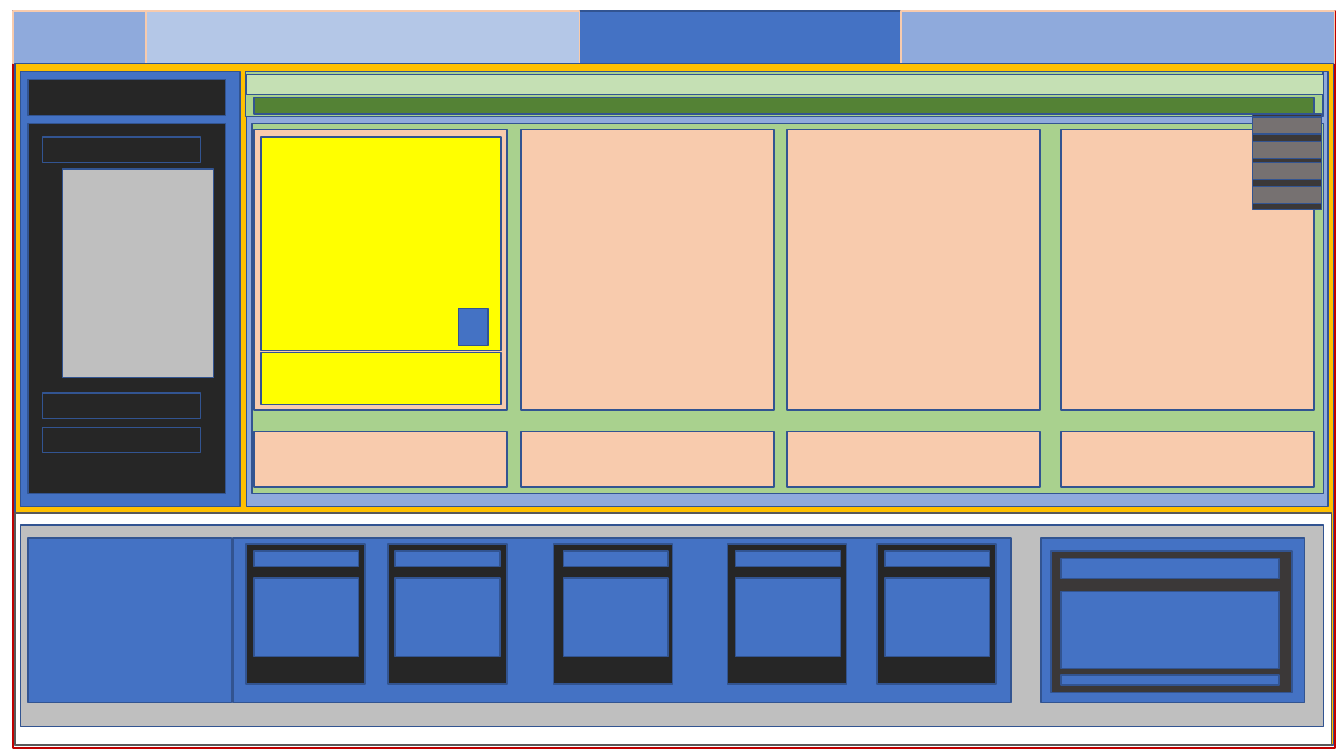
from dataclasses import dataclass

from pptx import Presentation
from pptx.dml.color import RGBColor
from pptx.enum.shapes import MSO_SHAPE
from pptx.util import Cm, Pt


@dataclass(frozen=True)
class Theme:
    blue: str = "4472C4"
    sky: str = "8FAADC"
    pale: str = "B4C7E7"
    peach: str = "F8CBAD"
    gold: str = "FFC000"
    green: str = "A9D18E"
    mint: str = "C5E0B4"
    moss: str = "548235"
    yellow: str = "FFFF00"
    white: str = "FFFFFF"
    silver: str = "BFBFBF"
    grey: str = "767171"
    slate: str = "3B3838"
    black: str = "262626"
    edge: str = "325491"
    red: str = "C00000"
    ash: str = "595959"
    line: float = 1


@dataclass(frozen=True)
class Box:
    x: float
    y: float
    w: float
    h: float

    def sub(self, x, y, w, h):
        return Box(self.x + x, self.y + y, w, h)


theme = Theme()


def draw(slide, box, fill=None, edge=theme.edge):
    rect = slide.shapes.add_shape(
        MSO_SHAPE.RECTANGLE, Cm(box.x), Cm(box.y), Cm(box.w), Cm(box.h))
    rect.shadow.inherit = False
    if fill:
        rect.fill.solid()
        rect.fill.fore_color.rgb = RGBColor.from_string(fill)
    else:
        rect.fill.background()
    rect.line.color.rgb = RGBColor.from_string(edge)
    rect.line.width = Pt(theme.line)
    return box


def navbar(slide, box):
    draw(slide, box, theme.blue)
    for x, w, fill in ((0, 3.35, theme.sky), (3.35, 10.92, theme.pale),
                       (22.38, 10.92, theme.sky)):
        draw(slide, box.sub(x, 0, w, box.h), fill, theme.peach)


def sidebar(slide, box):
    draw(slide, box, theme.blue)
    draw(slide, box.sub(0.2, 0.2, 4.98, 0.91), theme.black)
    panel = draw(slide, box.sub(0.2, 1.32, 4.98, 9.32), theme.black)
    draw(slide, panel.sub(0.87, 1.14, 3.81, 5.26), theme.silver)
    for y in (0.33, 6.78, 7.65):
        draw(slide, panel.sub(0.36, y, 3.99, 0.64), theme.black)


def feature(slide, card):
    draw(slide, card.sub(0.18, 0.18, 6.05, 5.38), theme.yellow)
    draw(slide, card.sub(0.18, 5.61, 6.05, 1.32), theme.yellow)
    draw(slide, card.sub(5.16, 4.5, 0.74, 0.94), theme.blue)


def menu(slide, box):
    draw(slide, box, theme.slate)
    for y in (0.08, 0.69, 1.22, 1.83):
        draw(slide, box.sub(0, y, box.w, 0.43), theme.grey)


def board(slide, box):
    draw(slide, box, theme.sky)
    draw(slide, box.sub(-0.03, 0, 27.15, 1.14), theme.green)
    draw(slide, box.sub(0, 0.08, 27.13, 0.51), theme.mint)
    draw(slide, box.sub(0.18, 0.66, 26.72, 0.41), theme.moss)
    draw(slide, box.sub(0.13, 1.32, 27, 9.32), theme.green)
    cards = [box.sub(x, 1.47, 6.38, 7.06) for x in (0.18, 6.91, 13.61, 20.52)]
    for card in cards:
        draw(slide, card, theme.peach)
        draw(slide, card.sub(0, 7.6, card.w, 1.4), theme.peach)
    feature(slide, cards[0])
    menu(slide, box.sub(25.35, 1.07, 1.73, 2.41))


def strip(slide, box):
    draw(slide, box, theme.blue)
    for x, inset in ((0.33, 0.2), (3.91, 0.18), (8.08, 0.25),
                     (12.47, 0.2), (16.23, 0.2)):
        tile = draw(slide, box.sub(x, 0.15, 3, 3.53), theme.black)
        for y, h in ((0.18, 0.38), (0.86, 1.98)):
            draw(slide, tile.sub(inset, y, 2.64, h), theme.blue)


def detail(slide, box):
    draw(slide, box, theme.blue)
    panel = draw(slide, box.sub(0.25, 0.33, 6.07, 3.56), theme.slate)
    for y, h in ((0.18, 0.51), (1.02, 1.93), (3.12, 0.25)):
        draw(slide, panel.sub(0.25, y, 5.49, h), theme.blue)


def footer(slide, box):
    draw(slide, box, theme.white, theme.ash)
    draw(slide, box.sub(0.13, 0.3, 32.84, 5.08), theme.silver)
    draw(slide, box.sub(0.33, 0.63, 5.13, 4.14), theme.blue)
    strip(slide, box.sub(5.49, 0.63, 19.61, 4.14))
    detail(slide, box.sub(25.86, 0.63, 6.63, 4.14))


def page(slide, box):
    draw(slide, box, edge=theme.red)
    navbar(slide, box.sub(0, 0, 33.22, 1.32))
    body = draw(slide, box.sub(0.05, 1.32, 33.22, 17.17), theme.gold)
    sidebar(slide, body.sub(0.13, 0.2, 5.54, 10.97))
    board(slide, body.sub(5.84, 0.2, 27.25, 10.97))
    footer(slide, body.sub(0, 11.33, 33.17, 5.84))


def main():
    deck = Presentation()
    deck.slide_width, deck.slide_height = Cm(33.87), Cm(19.05)
    slide = deck.slides.add_slide(deck.slide_layouts[6])
    page(slide, Box(0.33, 0.28, 33.32, 18.57))
    deck.save("out.pptx")


if __name__ == "__main__":
    main()
